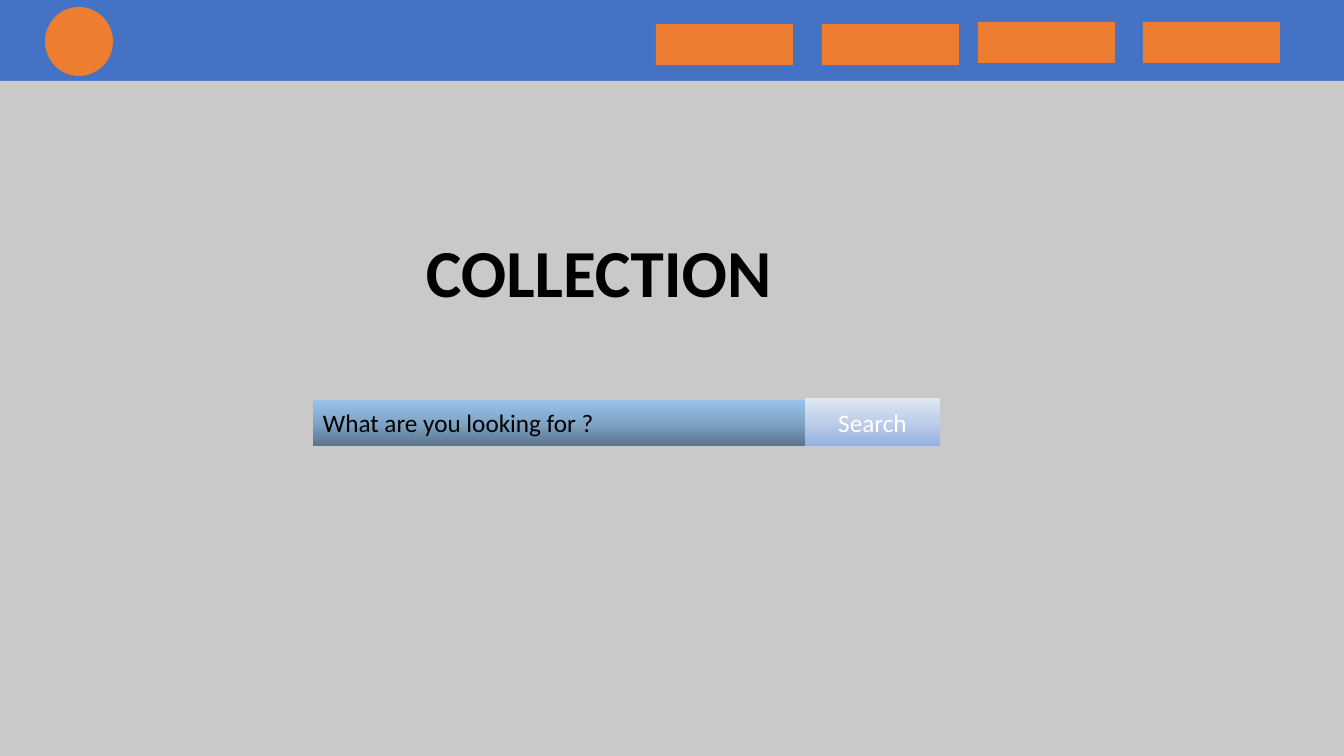
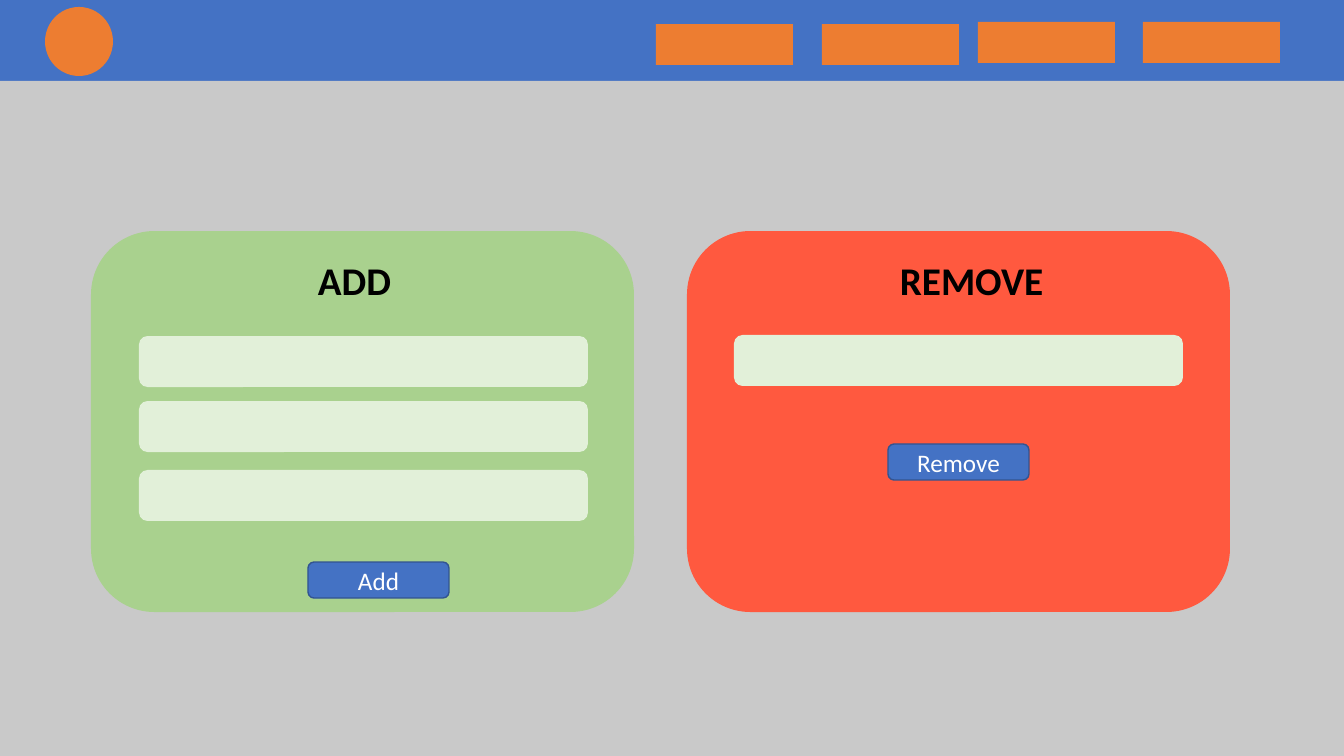
from copy import deepcopy
from dataclasses import dataclass
from typing import Optional

from pptx import Presentation
from pptx import util as u
from pptx.dml.color import RGBColor
from pptx.enum import shapes, text

WIDTH, HEIGHT = 1344, 756
EMU_PER_PX = 12192000 / WIDTH
HEADER_HEIGHT = 81


@dataclass(frozen=True)
class Theme:
    font: str = "Calibri"
    header: str = "4472C4"
    accent: str = "ED7D31"
    body: str = "C9C9C9"
    add_card: str = "A9D18E"
    remove_card: str = "FF593F"
    field: str = "E2F0D9"
    button: str = "4472C4"
    button_line: str = "325491"
    dark: str = "000000"
    light: str = "FFFFFF"
    search_box: tuple[str, ...] = ("5A748B", "7FA5C6", "97C3EB")
    search_button: tuple[str, ...] = ("94B1E1", "BFCEEA", "E0E7F4")
    title_size: int = 48
    heading_size: int = 28
    label_size: int = 18


@dataclass(frozen=True)
class Box:
    left: int
    top: int
    width: int
    height: int

    def emu(self) -> list[int]:
        return [px(n) for n in (self.left, self.top, self.width, self.height)]


@dataclass(frozen=True)
class Card:
    left: int
    colour: str
    heading: str
    heading_left: int
    field_left: int
    field_tops: tuple[int, ...]
    button: str
    button_left: int
    button_top: int


THEME = Theme()
RECTANGLE = shapes.MSO_SHAPE.RECTANGLE
ROUNDED = shapes.MSO_SHAPE.ROUNDED_RECTANGLE
CARDS = (
    Card(687, THEME.remove_card, "REMOVE", 890, 734, (335,), "Remove", 888, 444),
    Card(91, THEME.add_card, "ADD", 308, 139, (336, 401, 470), "Add", 308, 562),
)


def px(length: int) -> int:
    return round(length * EMU_PER_PX)


def write(shape, words: str, size: int, colour: str, bold: bool = False) -> None:
    paragraph = shape.text_frame.paragraphs[0]
    paragraph.text = words
    font = paragraph.runs[0].font
    font.name, font.size, font.bold = THEME.font, u.Pt(size), bold
    font.color.rgb = RGBColor.from_string(colour)


def add_text(slide, box: Box, words: str, size: int, bold: bool = False) -> None:
    shape = slide.shapes.add_textbox(*box.emu())
    shape.text_frame.word_wrap = True
    shape.text_frame.auto_size = text.MSO_AUTO_SIZE.SHAPE_TO_FIT_TEXT
    write(shape, words, size, THEME.dark, bold)


def add_block(slide, kind, box: Box, colour: Optional[str] = None,
              label: str = "", line: Optional[str] = None):
    shape = slide.shapes.add_shape(kind, *box.emu())
    shape.shadow.inherit = False
    if colour:
        shape.fill.solid()
        shape.fill.fore_color.rgb = RGBColor.from_string(colour)
    if line:
        shape.line.color.rgb = RGBColor.from_string(line)
        shape.line.width = u.Pt(1)
    else:
        shape.line.fill.background()
    if label:
        shape.text_frame.vertical_anchor = text.MSO_ANCHOR.MIDDLE
        write(shape, label, THEME.label_size, THEME.light)
        shape.text_frame.paragraphs[0].alignment = text.PP_ALIGN.CENTER
    return shape


def shade(shape, colours: tuple[str, ...]) -> None:
    """Fill with three evenly spaced colours, from bottom to top."""
    fill = shape.fill
    fill.gradient()
    fill.gradient_angle = 90
    stop_list = shape._element.spPr.find(".//{*}gsLst")
    stop_list.append(deepcopy(stop_list[-1]))
    for index, (stop, colour) in enumerate(zip(fill.gradient_stops, colours)):
        stop.position = index / (len(colours) - 1)
        stop.color.rgb = RGBColor.from_string(colour)


def add_page(presentation):
    slide = presentation.slides.add_slide(presentation.slide_layouts[6])
    # Header band with its emblem and two pairs of menu items
    add_block(slide, RECTANGLE, Box(0, 0, WIDTH, HEADER_HEIGHT), THEME.header)
    add_block(slide, shapes.MSO_SHAPE.OVAL, Box(45, 7, 68, 69), THEME.accent)
    for top, lefts in ((24, (656, 822)), (22, (978, 1143))):
        for left in lefts:
            add_block(slide, RECTANGLE, Box(left, top, 137, 41), THEME.accent)
    # Page body
    add_block(slide, RECTANGLE,
              Box(0, HEADER_HEIGHT, WIDTH, HEIGHT - HEADER_HEIGHT), THEME.body)
    return slide


def add_card(slide, card: Card) -> None:
    add_block(slide, ROUNDED, Box(card.left, 231, 543, 381), card.colour)
    add_text(slide, Box(card.heading_left, 251, 194, 57), card.heading,
             THEME.heading_size, bold=True)
    for top in card.field_tops:
        add_block(slide, ROUNDED, Box(card.field_left, top, 449, 51), THEME.field)
    add_block(slide, ROUNDED, Box(card.button_left, card.button_top, 141, 36),
              THEME.button, card.button, THEME.button_line)


def build_search(presentation) -> None:
    slide = add_page(presentation)
    add_text(slide, Box(416, 225, 511, 92), "COLLECTION", THEME.title_size, bold=True)
    # Search box, button and prompt
    shade(add_block(slide, RECTANGLE, Box(313, 400, 627, 46)), THEME.search_box)
    shade(add_block(slide, RECTANGLE, Box(805, 398, 135, 48), label="Search"),
          THEME.search_button)
    add_text(slide, Box(313, 402, 333, 40), "What are you looking for ?", THEME.label_size)


def build_editor(presentation) -> None:
    slide = add_page(presentation)
    for card in CARDS:
        add_card(slide, card)


def main() -> None:
    presentation = Presentation()
    presentation.slide_width, presentation.slide_height = px(WIDTH), px(HEIGHT)
    build_search(presentation)
    build_editor(presentation)
    presentation.save("out.pptx")


if __name__ == "__main__":
    main()
